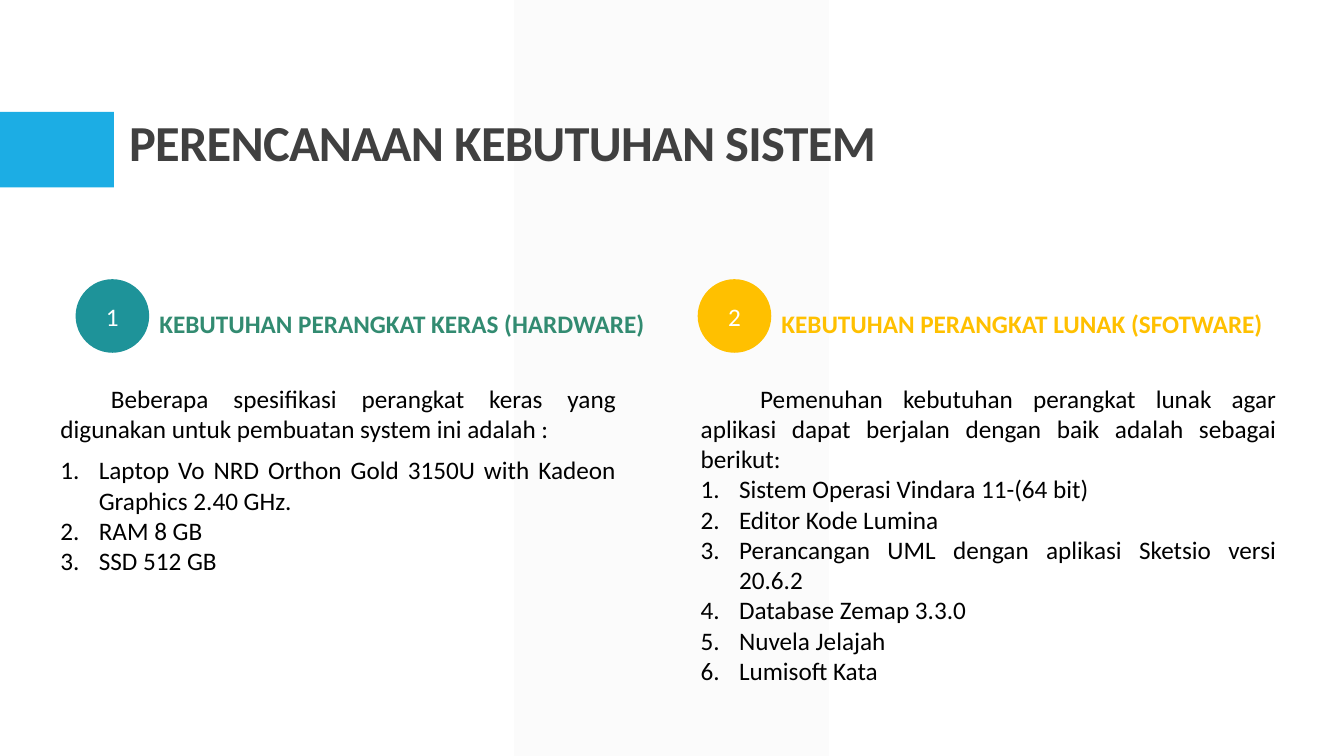
import pptx
import pptx.util
import pptx.dml.color
import pptx.enum.shapes
import pptx.enum.text
import pptx.oxml.ns
from lxml import etree

TITLE = "PERENCANAAN KEBUTUHAN SISTEM"
SECTIONS = [
    {
        "number": "1",
        "heading": "KEBUTUHAN PERANGKAT KERAS (HARDWARE)",
        "intro": "Beberapa spesifikasi perangkat keras yang digunakan untuk "
                 "pembuatan system ini adalah :",
        "items": [
            "Laptop Vo NRD Orthon Gold 3150U with Kadeon Graphics 2.40 GHz.",
            "RAM 8 GB",
            "SSD 512 GB",
        ],
        "color": "teal", "heading_color": "green",
        "circle_left": 0.75, "body_left": 0.5, "body_size": (5.71, 2.03),
        "intro_indent": 0.5, "intro_after": 8,
    },
    {
        "number": "2",
        "heading": "KEBUTUHAN PERANGKAT LUNAK (SFOTWARE)",
        "intro": "Pemenuhan kebutuhan perangkat lunak agar aplikasi dapat "
                 "berjalan dengan baik adalah sebagai berikut:",
        "items": [
            "Sistem Operasi Vindara 11-(64 bit)",
            "Editor Kode Lumina",
            "Perancangan UML dengan aplikasi Sketsio versi 20.6.2",
            "Database Zemap 3.3.0",
            "Nuvela Jelajah",
            "Lumisoft Kata",
        ],
        "color": "amber", "heading_color": "amber",
        "circle_left": 6.92, "body_left": 6.85, "body_size": (5.91, 3.13),
        "intro_indent": 0.59, "intro_after": 0,
    },
]
THEME = {
    "font": "Calibri", "title_size": 36, "text_size": 18,
    "blue": "1CADE4", "band": "F2F2F2", "dark": "404040", "black": "000000",
    "white": "FFFFFF", "teal": "1E9399", "green": "328B71", "amber": "FFC000",
}
CIRCLE = 0.73
CIRCLE_TOP = 2.77
HEADING_TOP, HEADING_SIZE = 2.86, (5.19, 0.51)
BODY_TOP = 3.75
LIST_INDENT = 0.38

Inches, Pt = pptx.util.Inches, pptx.util.Pt
ALIGN = pptx.enum.text.PP_ALIGN
ANCHOR = pptx.enum.text.MSO_ANCHOR
SHAPE = pptx.enum.shapes.MSO_SHAPE


def rgb(name):
    return pptx.dml.color.RGBColor.from_string(THEME[name])


def place(sp, left, top, width, height):
    sp.left, sp.top, sp.width, sp.height = map(Inches, (left, top, width, height))


def prepare(tf, anchor=ANCHOR.TOP):
    tf.word_wrap = True
    tf.auto_size = pptx.enum.text.MSO_AUTO_SIZE.NONE
    tf.vertical_anchor = anchor


def write(p, text, color="black", size=THEME["text_size"], bold=False,
          align=ALIGN.JUSTIFY, spacing=1.0, after=0, margin=0, indent=0,
          numbered=False, tracking=None):
    """Fill one paragraph and set its format."""
    p.alignment, p.line_spacing = align, spacing
    p.space_before, p.space_after = Pt(0), Pt(after)
    pPr = p._p.get_or_add_pPr()
    pPr.set("marL", str(Inches(margin)))
    pPr.set("indent", str(Inches(indent)))
    bullet = etree.SubElement(
        pPr, pptx.oxml.ns.qn("a:buAutoNum" if numbered else "a:buNone"))
    if numbered:
        bullet.set("type", "arabicPeriod")
    r = p.add_run()
    r.text = text
    r.font.name, r.font.size, r.font.bold = THEME["font"], Pt(size), bold
    r.font.color.rgb = rgb(color)
    if tracking is not None:
        r.font._element.set("spc", str(tracking))


def add_filled(slide, kind, box, color, alpha=None):
    sp = slide.shapes.add_shape(kind, *map(Inches, box))
    sp.shadow.inherit = False
    sp.fill.solid()
    sp.fill.fore_color.rgb = rgb(color)
    sp.line.fill.background()
    if alpha is not None:
        clr = sp.element.spPr.find(".//" + pptx.oxml.ns.qn("a:srgbClr"))
        etree.SubElement(clr, pptx.oxml.ns.qn("a:alpha")).set("val", str(alpha * 1000))
    return sp


def add_section(slide, section, heading, body):
    left = section["circle_left"]
    circle = add_filled(slide, SHAPE.OVAL, (left, CIRCLE_TOP, CIRCLE, CIRCLE),
                        section["color"])
    prepare(circle.text_frame, ANCHOR.MIDDLE)
    write(circle.text_frame.paragraphs[0], section["number"], "white",
          align=ALIGN.CENTER)

    place(heading, left + CIRCLE, HEADING_TOP, *HEADING_SIZE)
    prepare(heading.text_frame)
    write(heading.text_frame.paragraphs[0], section["heading"],
          section["heading_color"], bold=True, spacing=1.5, after=8)

    place(body, section["body_left"], BODY_TOP, *section["body_size"])
    tf = body.text_frame
    prepare(tf)
    write(tf.paragraphs[0], section["intro"], indent=section["intro_indent"],
          after=section["intro_after"])
    for item in section["items"]:
        write(tf.add_paragraph(), item, margin=LIST_INDENT, indent=-LIST_INDENT,
              numbered=True)


def main():
    prs = pptx.Presentation()
    prs.slide_width, prs.slide_height = Inches(13.33), Inches(7.5)
    slide = prs.slides.add_slide(prs.slide_layouts.get_by_name("Comparison"))
    title, *columns = slide.placeholders

    band = add_filled(slide, SHAPE.RECTANGLE, (5.1, 0, 3.12, 7.5), "band", alpha=30)
    tab = add_filled(slide, SHAPE.RECTANGLE, (0, 1.11, 1.13, 0.75), "blue")
    for sp in (band, tab):
        title.element.addprevious(sp.element)

    place(title, 1.18, 0.83, 10.04, 0.93)
    prepare(title.text_frame, ANCHOR.BOTTOM)
    write(title.text_frame.paragraphs[0], TITLE, "dark", THEME["title_size"],
          bold=True, align=ALIGN.LEFT, spacing=0.9, tracking=-50)

    for section, heading, body in zip(SECTIONS, columns[::2], columns[1::2]):
        add_section(slide, section, heading, body)
    prs.save("out.pptx")


if __name__ == "__main__":
    main()
